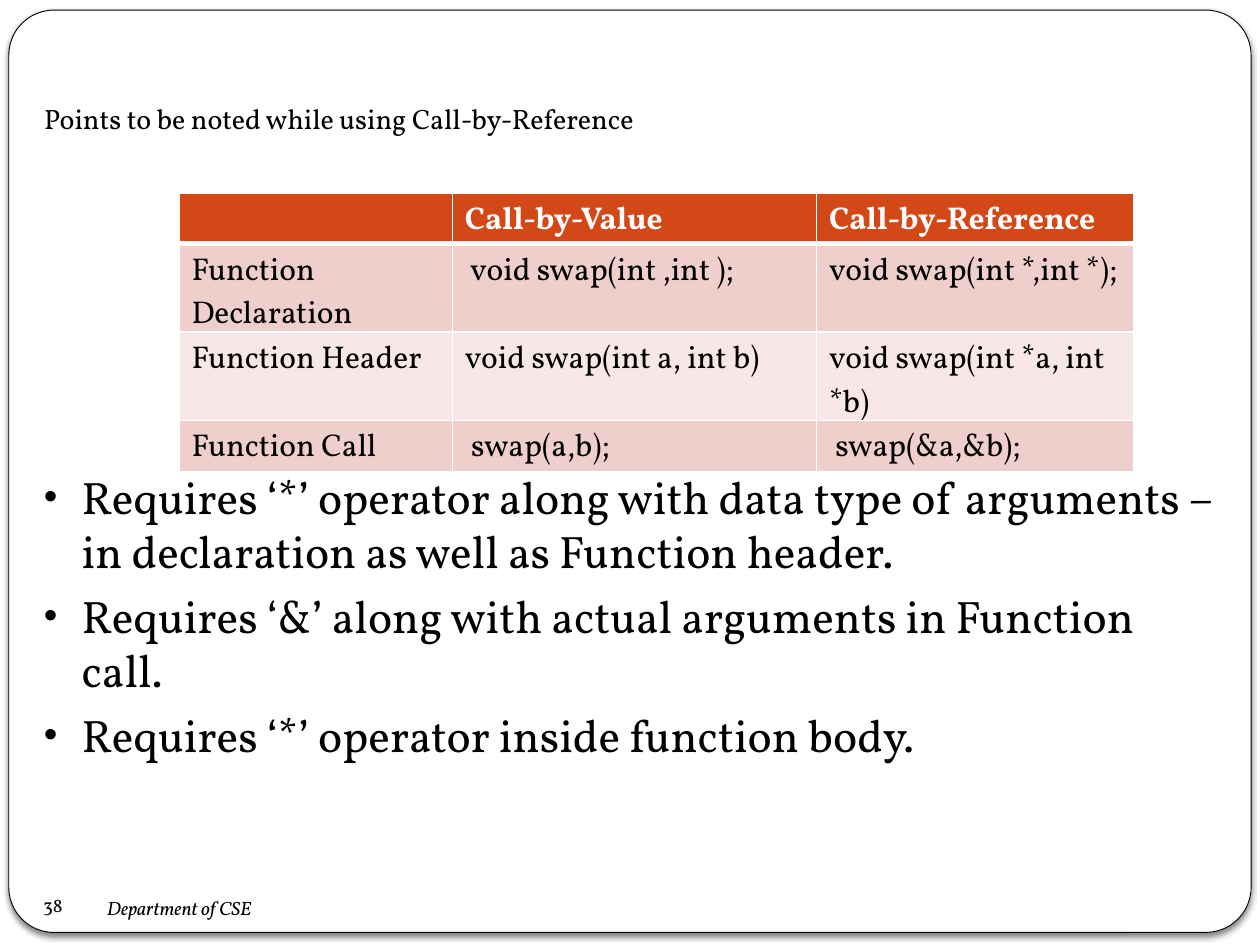
from lxml.etree import SubElement
from pptx import Presentation
from pptx.dml.color import RGBColor
from pptx.enum.shapes import MSO_SHAPE as Shape
from pptx.enum.text import MSO_ANCHOR as Anchor, PP_ALIGN as Align
from pptx.oxml import parse_xml
from pptx.oxml.ns import nsdecls, qn
from pptx.util import Inches, Pt

COLORS = {"ink": "000000", "paper": "FFFFFF", "header": "D34817",
          "band_dark": "EECFCC", "band_light": "F7E8E7"}
FONT = "Vollkorn"
TITLE = "Points to be noted while using Call-by-Reference"
COMPARISON = [
    ("", "Call-by-Value", "Call-by-Reference"),
    ("Function Declaration", " void swap(int ,int );", "void swap(int *,int *);"),
    ("Function Header", "void swap(int a, int b)", "void swap(int *a, int *b)"),
    ("Function Call", " swap(a,b);", " swap(&a,&b);"),
]
NOTES = [
    "Requires ‘*’ operator along with data type of arguments – in declaration as well as Function header.",
    "Requires ‘&’ along with actual arguments in Function call.",
    "Requires ‘*’ operator inside function body.",
]


def rgb(name):
    """Return the named colour."""
    return RGBColor.from_string(COLORS[name])


def style(frame, size, color="ink", bold=False, italic=False):
    """Format every run of a text frame."""
    for paragraph in frame.paragraphs:
        for run in paragraph.runs:
            font = run.font
            font.name, font.size = FONT, Pt(size)
            font.bold, font.italic = bold, italic
            font.color.rgb = rgb(color)


def set_frame(frame, anchor, margins):
    """Set wrapping, anchor and the left, top, right and bottom margins."""
    frame.word_wrap = True
    frame.vertical_anchor = anchor
    (frame.margin_left, frame.margin_top,
     frame.margin_right, frame.margin_bottom) = [Inches(m) for m in margins]


def add_border(slide, box):
    """Draw the rounded page border behind everything else."""
    border = slide.shapes.add_shape(Shape.ROUNDED_RECTANGLE, *map(Inches, box))
    border.adjustments[0] = 0.049
    border.fill.solid()
    border.fill.fore_color.rgb = rgb("paper")
    border.line.color.rgb = rgb("ink")
    border.line.width = Pt(0.51)
    border.shadow.inherit = False
    effects = border._element.spPr.find(qn("a:effectLst"))
    effects.append(parse_xml(
        f'<a:outerShdw {nsdecls("a")} blurRad="{Pt(3)}" dist="{Pt(2)}" dir="5400000" '
        f'algn="ctr" rotWithShape="0"><a:srgbClr val="{COLORS["ink"]}">'
        '<a:alpha val="50000"/></a:srgbClr></a:outerShdw>'))
    slide.shapes._spTree.insert(2, border._element)


def place_title(slide, box):
    """Move and fill the title placeholder."""
    title = slide.shapes.title
    title.left, title.top, title.width, title.height = map(Inches, box)
    title.text_frame.text = TITLE
    title.text_frame.paragraphs[0].alignment = Align.LEFT
    set_frame(title.text_frame, Anchor.BOTTOM, (0.1, 0.05, 0.1, 0.1))
    style(title.text_frame, 16)


def add_text(slide, box, lines, size, anchor=Anchor.MIDDLE,
             margins=(0.1, 0.05, 0.1, 0.05), italic=False):
    """Add a text box with one paragraph per line and return its frame."""
    frame = slide.shapes.add_textbox(*map(Inches, box)).text_frame
    frame.text = "\n".join(lines)
    set_frame(frame, anchor, margins)
    style(frame, size, italic=italic)
    return frame


def add_notes_list(slide, box):
    """Add the bulleted points."""
    frame = add_text(slide, box, NOTES, 26, Anchor.TOP)
    for paragraph in frame.paragraphs:
        paragraph.space_before = Pt(5.8)
        props = paragraph._p.get_or_add_pPr()
        props.set("marL", str(Inches(0.3)))
        props.set("indent", str(-Inches(0.3)))
        bullet_color = SubElement(props, qn("a:buClr"))
        SubElement(bullet_color, qn("a:srgbClr"), val=COLORS["ink"])
        SubElement(props, qn("a:buSzPct"), val="85000")
        SubElement(props, qn("a:buFont"), typeface="Arial")
        SubElement(props, qn("a:buChar"), char="•")


def set_borders(cell, widths):
    """Give a cell white borders, with widths keyed by side."""
    props = cell._tc.get_or_add_tcPr()
    for index, (side, width) in enumerate(widths.items()):
        props.insert(index, parse_xml(
            f'<a:ln{side} {nsdecls("a")} w="{Pt(width)}"><a:solidFill>'
            f'<a:srgbClr val="{COLORS["paper"]}"/></a:solidFill></a:ln{side}>'))


def add_comparison(slide, box):
    """Add the table comparing both ways of calling."""
    table = slide.shapes.add_table(
        len(COMPARISON), len(COMPARISON[0]), *map(Inches, box)).table
    for column, width in zip(table.columns, (2.17, 2.89, 2.52)):
        column.width = Inches(width)
    for r, texts in enumerate(COMPARISON):
        is_header = r == 0
        fill = "header" if is_header else "band_dark" if r % 2 else "band_light"
        for c, text in enumerate(texts):
            cell = table.cell(r, c)
            cell.text_frame.text = text
            cell.fill.solid()
            cell.fill.fore_color.rgb = rgb(fill)
            style(cell.text_frame, 18, "paper" if is_header else "ink", bold=is_header)
            set_borders(cell, {"L": 0.96, "R": 0.96, "T": 3 if r == 1 else 0.96,
                               "B": 3 if is_header else 0.96})


def build():
    """Build and save the slide."""
    deck = Presentation()
    deck.slide_width, deck.slide_height = Inches(10), Inches(7.5)
    slide = deck.slides.add_slide(deck.slide_layouts[5])
    add_border(slide, (0.07, 0.08, 9.86, 7.32))
    place_title(slide, (0.25, 0.3, 9.5, 0.87))
    add_notes_list(slide, (0.25, 3.67, 9.5, 2.92))
    page_number = add_text(slide, (0.17, 7, 0.5, 0.37), ["38"], 11, margins=(0, 0, 0, 0))
    page_number.paragraphs[0].alignment = Align.CENTER
    add_text(slide, (0.75, 7.08, 4.33, 0.25), ["Department of CSE"], 11, italic=True)
    add_comparison(slide, (1.42, 1.53, 7.58, 1.62))
    deck.save("out.pptx")


build()
